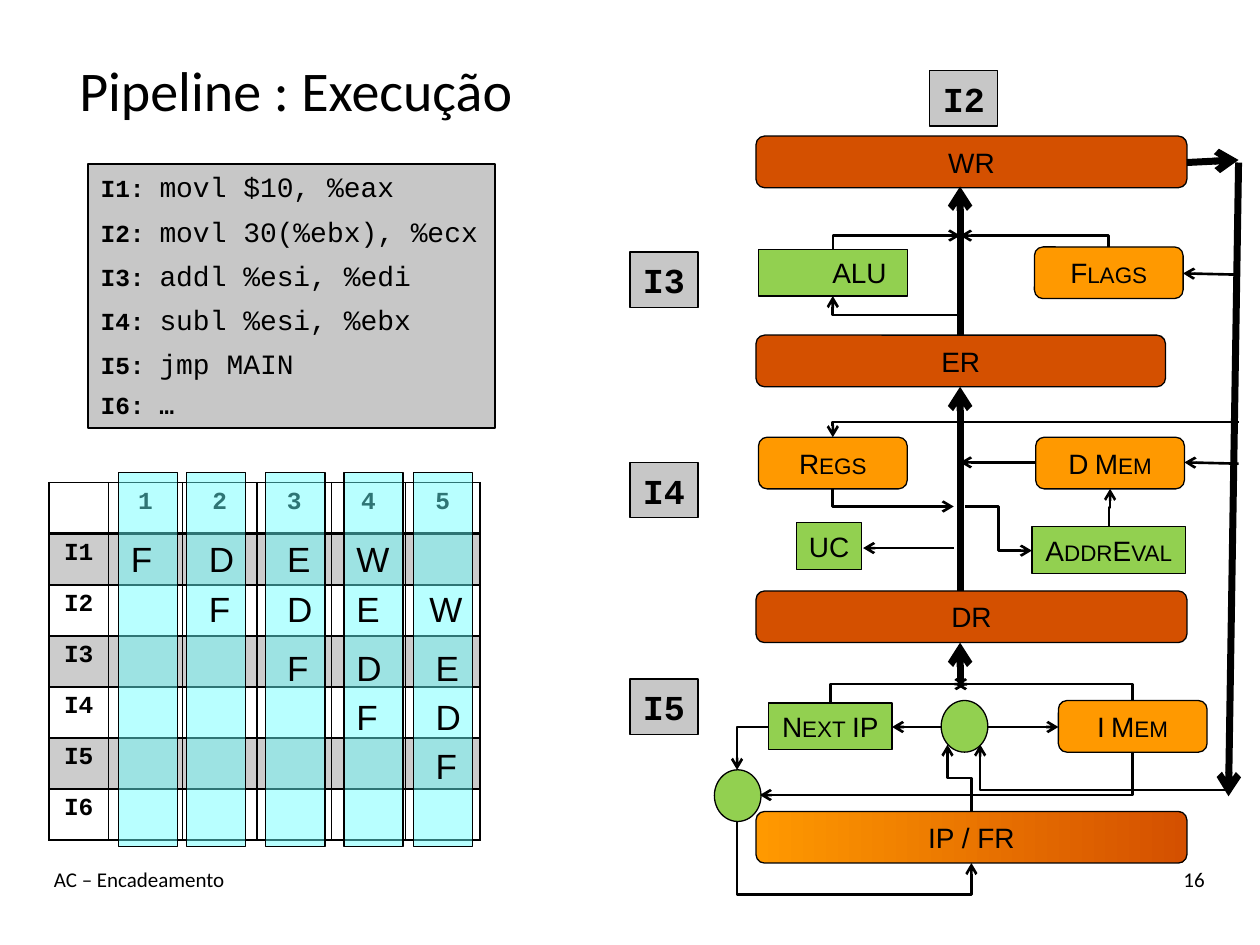
from lxml.etree import SubElement
from pptx import Presentation
from pptx.dml.color import RGBColor
from pptx.enum.shapes import MSO_CONNECTOR as CONN, MSO_SHAPE as SHAPE
from pptx.enum.text import MSO_ANCHOR as ANCHOR, PP_ALIGN as ALIGN
from pptx.oxml.ns import qn
from pptx.util import Inches, Pt

C = {"black": "000000", "grey": "C7C7C7", "cyan": "66FFFF",
     "green": "92D050", "orange": "FF9900", "rust": "D45000"}
MONO = "Courier New"


def rgb(name):
    return RGBColor.from_string(C[name])


def paint(fill, color, alpha=None):
    fill.solid()
    fill.fore_color.rgb = rgb(color)
    if alpha:
        clr = fill._xPr.find(qn("a:solidFill"))[0]
        SubElement(clr, qn("a:alpha"), val=str(alpha * 1000))


def add_run(p, text, size, font="Arial", bold=False, small=False):
    r = p.add_run()
    r.text = text
    r.font.size, r.font.name, r.font.bold = Pt(size), font, bold
    r.font.color.rgb = rgb("black")
    if small:
        r._r.get_or_add_rPr().set("cap", "small")


def add_label(s, x, y, w, h, text, size, font="Arial", align=ALIGN.LEFT,
              anchor=ANCHOR.TOP, wrap=True):
    sp = s.shapes.add_textbox(Inches(x), Inches(y), Inches(w), Inches(h))
    tf = sp.text_frame
    tf.word_wrap, tf.vertical_anchor = wrap, anchor
    tf.paragraphs[0].alignment = align
    add_run(tf.paragraphs[0], text, size, font)


def add_block(s, kind, x, y, w, h, color, alpha=None, line=0.75):
    sp = s.shapes.add_shape(kind, Inches(x), Inches(y), Inches(w), Inches(h))
    sp.shadow.inherit = False
    paint(sp.fill, color, alpha)
    sp.line.color.rgb = rgb("black")
    sp.line.width = Pt(line)
    return sp


def add_text(sp, text, size, font="Arial", bold=False, small=False):
    tf = sp.text_frame
    tf.word_wrap, tf.vertical_anchor = False, ANCHOR.MIDDLE
    tf.paragraphs[0].alignment = ALIGN.CENTER
    add_run(tf.paragraphs[0], text, size, font, bold, small)


def add_wire(s, x1, y1, x2, y2, route="", width=1.5, adj=None):
    if route.startswith("v"):
        cx, cy = (x1 + x2) / 2, (y1 + y2) / 2
        dx, dy = (x2 - x1) / 2, (y2 - y1) / 2
        x1, y1, x2, y2 = cx - dy, cy + dx, cx + dy, cy - dx
    c = s.shapes.add_connector(CONN.ELBOW if route else CONN.STRAIGHT,
                               Inches(x1), Inches(y1), Inches(x2), Inches(y2))
    c.line.color.rgb = rgb("black")
    c.line.width = Pt(width)
    spPr = c._element.spPr
    if route:
        geom = spPr.find(qn("a:prstGeom"))
        geom.set("prst", "bentConnector" + route[1])
        if adj:
            SubElement(geom.find(qn("a:avLst")), qn("a:gd"), name="adj1",
                       fmla=f"val {int(adj * 100000)}")
    if route.startswith("v"):
        spPr.find(qn("a:xfrm")).set("rot", "5400000")
    SubElement(spPr.find(qn("a:ln")), qn("a:tailEnd"), type="arrow")
    SubElement(spPr, qn("a:effectLst"))


def set_borders(cell, bottom, top):
    tcPr = cell._tc.get_or_add_tcPr()
    for i, (side, width) in enumerate(zip(("lnL", "lnR", "lnT", "lnB"),
                                          (1, 1, top, bottom))):
        ln = tcPr.makeelement(qn("a:" + side), {"w": str(Pt(width))})
        clr = SubElement(SubElement(ln, qn("a:solidFill")), qn("a:srgbClr"))
        clr.set("val", C["black"])
        tcPr.insert(i, ln)


def draw_code(s, x, y, w, h):
    code = ["movl $10, %eax", "movl 30(%ebx), %ecx", "addl %esi, %edi",
            "subl %esi, %ebx", "jmp MAIN", "…"]
    sp = add_block(s, SHAPE.RECTANGLE, x, y, w, h, "grey", line=1.25)
    tf = sp.text_frame
    tf.word_wrap, tf.vertical_anchor = False, ANCHOR.TOP
    for i, text in enumerate(code):
        p = tf.paragraphs[0] if i == 0 else tf.add_paragraph()
        p.alignment, p.space_after = ALIGN.LEFT, Pt(6)
        last = text == "…"
        add_run(p, f"I{i + 1}: ", 14, MONO, True)
        add_run(p, text, 14 if last else 16, MONO, last)


def draw_schedule(s, x, y, w, h):
    rows, cols, first = 7, 6, 0.47
    t = s.shapes.add_table(rows, cols, Inches(x), Inches(y), Inches(w), Inches(h)).table
    t.horz_banding = t.first_row = False
    for j in range(cols):
        t.columns[j].width = Inches(first if j == 0 else (w - first) / (cols - 1))
    for i in range(rows):
        t.rows[i].height = Inches(h / rows)
        for j in range(cols):
            cell = t.cell(i, j)
            if i % 2:
                paint(cell.fill, "black", 20)
            else:
                cell.fill.background()
            set_borders(cell, 2 if i == 0 else 1, 2 if i == 1 else 1)
            text = f"I{i}" if i and j == 0 else str(j) if j and i == 0 else ""
            if text:
                p = cell.text_frame.paragraphs[0]
                p.alignment = ALIGN.CENTER
                add_run(p, text, 14, MONO, True)
    cycles = [0.55, 1.09, 1.72, 2.34, 2.89]
    for dx in cycles:
        add_block(s, SHAPE.RECTANGLE, x + dx, y - 0.08, 0.47, h + 0.13, "cyan", 46)
    letter_x = [0.55, 1.17, 1.79, 2.34, 2.97]
    letter_y = [0.39, 0.78, 1.25, 1.64, 2.03]
    for i, dy in enumerate(letter_y):
        for dx, stage in zip(letter_x[i:], "FDEW"):
            shift = -0.05 if (i, stage) == (1, "W") else 0
            add_label(s, x + dx + shift, y + dy, 0.47 if stage == "W" else 0.4, 0.44,
                      stage, 20, wrap=False)


def draw_datapath(s, x, y):
    for name, dx, dy in [("I2", 2.38, 0.06), ("I3", 0, 1.5),
                         ("I4", 0, 3.17), ("I5", 0, 4.89)]:
        sp = add_block(s, SHAPE.RECTANGLE, x + dx, y + dy, 0.54, 0.44, "grey")
        add_text(sp, name, 20, MONO, True)
    for name, dy, w in [("WR", 0.58, 3.42), ("ER", 2.16, 3.25),
                        ("DR", 4.19, 3.42), ("IP / FR", 5.94, 3.42)]:
        sp = add_block(s, SHAPE.ROUNDED_RECTANGLE, x + 1, y + dy, w, 0.41, "rust")
        add_text(sp, name, 16)
        if name == "IP / FR":
            sp.fill.gradient()
            sp.fill.gradient_angle = 0
            for stop, color, pos in zip(sp.fill.gradient_stops, ("orange", "rust"), (0, 1)):
                stop.color.rgb, stop.position = rgb(color), pos
    for name, dx, dy in [("I Mem", 3.4, 5.06), ("D Mem", 3.22, 2.97),
                         ("Regs", 1.02, 2.97), ("Flags", 3.21, 1.46)]:
        sp = add_block(s, SHAPE.ROUNDED_RECTANGLE, x + dx, y + dy, 1.18, 0.41, "orange")
        add_text(sp, name, 16, small=True)
    for name, dx, dy, w in [("Next IP", 1.1, 5.08, 0.98), ("UC", 1.32, 3.65, 0.52),
                            ("ALU", 1.02, 1.48, 1.18), ("AddrEval", 3.19, 3.68, 1.22)]:
        sp = add_block(s, SHAPE.RECTANGLE, x + dx, y + dy, w, 0.37, "green")
        add_text(sp, name, 16, small=not name.isupper())
        if name == "ALU":
            sp.text_frame.margin_left = Inches(0.52)
    for dx, dy in [(2.47, 5.06), (0.67, 5.61)]:
        add_block(s, SHAPE.OVAL, x + dx, y + dy, 0.37, 0.41, "green")

    buses = [(2.62, 4.91, 2.62, 4.6), (2.62, 4.19, 2.62, 2.57), (2.62, 2.16, 2.62, 0.98),
             (4.42, 0.79, 4.83, 0.77), (4.83, 0.79, 4.75, 5.82)]
    straight = [(2.57, 3.85, 1.85, 3.85), (3.22, 3.17, 2.62, 3.17),
                (4.83, 1.68, 4.39, 1.67), (4.83, 3.18, 4.4, 3.17),
                (2.83, 5.27, 3.4, 5.27), (2.47, 5.27, 2.08, 5.27)]
    bent = [("v2", 1.59, 5.08, 2.67, 4.93), ("v2", 3.99, 5.06, 2.58, 4.93),
            ("v2", 1.61, 3.38, 2.57, 3.52), ("h2", 2.62, 2, 1.61, 1.85),
            ("v2", 1.61, 1.48, 2.62, 1.37), ("v2", 3.8, 1.46, 2.62, 1.37),
            ("h2", 4.83, 2.85, 1.61, 2.97), ("h2", 4.75, 5.77, 2.78, 5.41),
            ("h2", 1.1, 5.27, 0.85, 5.61), ("v3", 2.71, 5.94, 2.52, 5.41),
            ("h3", 2.66, 3.52, 3.19, 3.87), ("v3", 3.8, 3.68, 3.81, 3.38),
            ("v2", 3.99, 5.47, 1.03, 5.81), ("v3", 0.85, 6.02, 2.71, 6.35, 1.75)]
    wires = [(pts, "", 4, None) for pts in buses]
    wires += [(pts, "", 1.5, None) for pts in straight]
    wires += [(b[1:5], b[0], 1.5, b[5] if len(b) > 5 else None) for b in bent]
    for (x1, y1, x2, y2), route, width, adj in wires:
        add_wire(s, x + x1, y + y1, x + x2, y + y2, route, width, adj)


prs = Presentation()
prs.slide_width, prs.slide_height = Inches(10), Inches(7.5)
s = prs.slides.add_slide(prs.slide_layouts[6])
draw_schedule(s, 0.39, 3.83, 3.42, 2.84)
add_label(s, 0.33, 0.25, 4.04, 0.92, "Pipeline : Execução", 32, "Calibri",
          ALIGN.CENTER, ANCHOR.MIDDLE)
add_label(s, 0.33, 6.83, 7, 0.5, "AC – Encadeamento", 12, "Calibri")
add_label(s, 8.33, 6.83, 1.33, 0.5, "16", 12, "Calibri", ALIGN.RIGHT)
draw_code(s, 0.7, 1.3, 3.23, 2.1)
draw_datapath(s, 5, 0.5)
prs.save("out.pptx")
